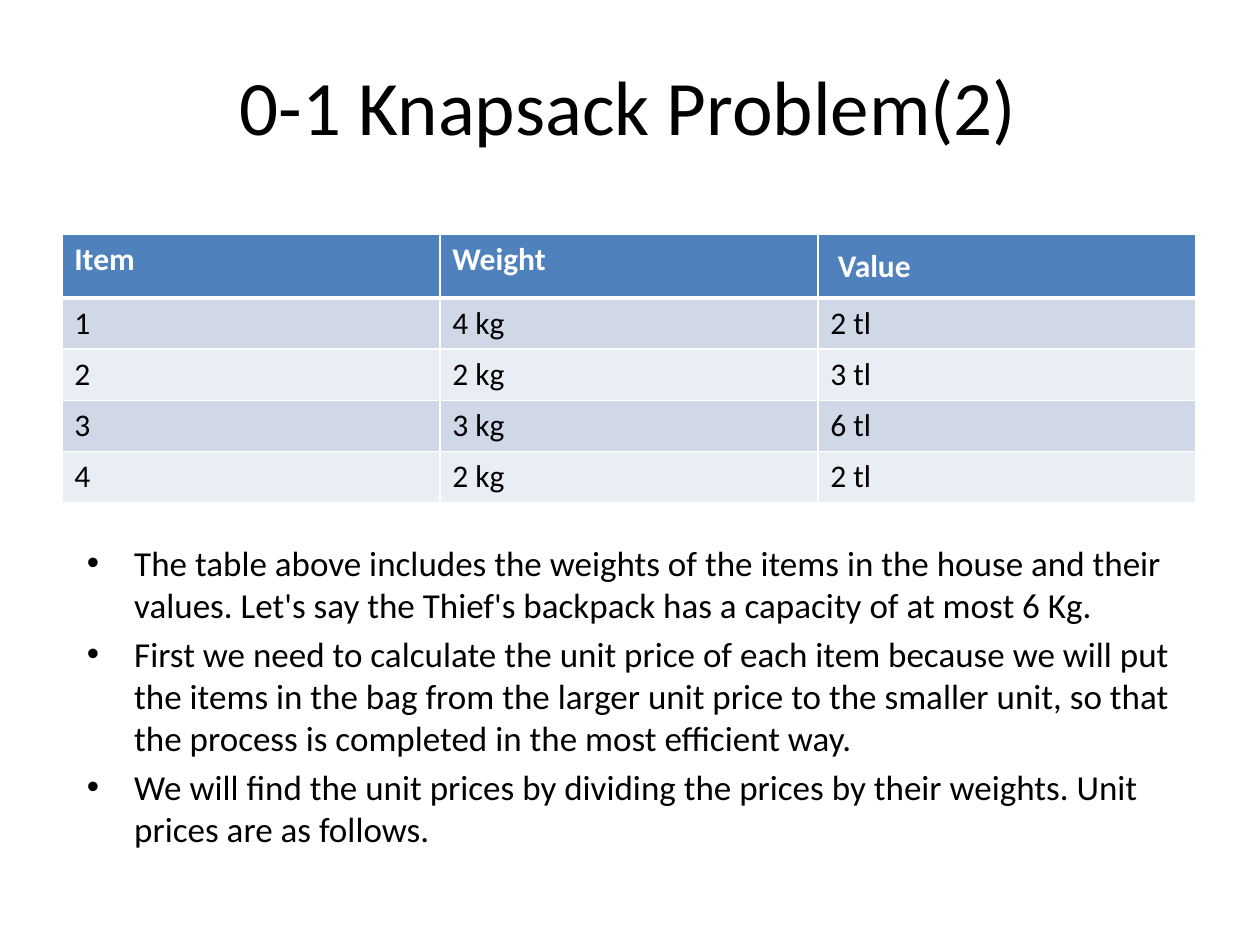
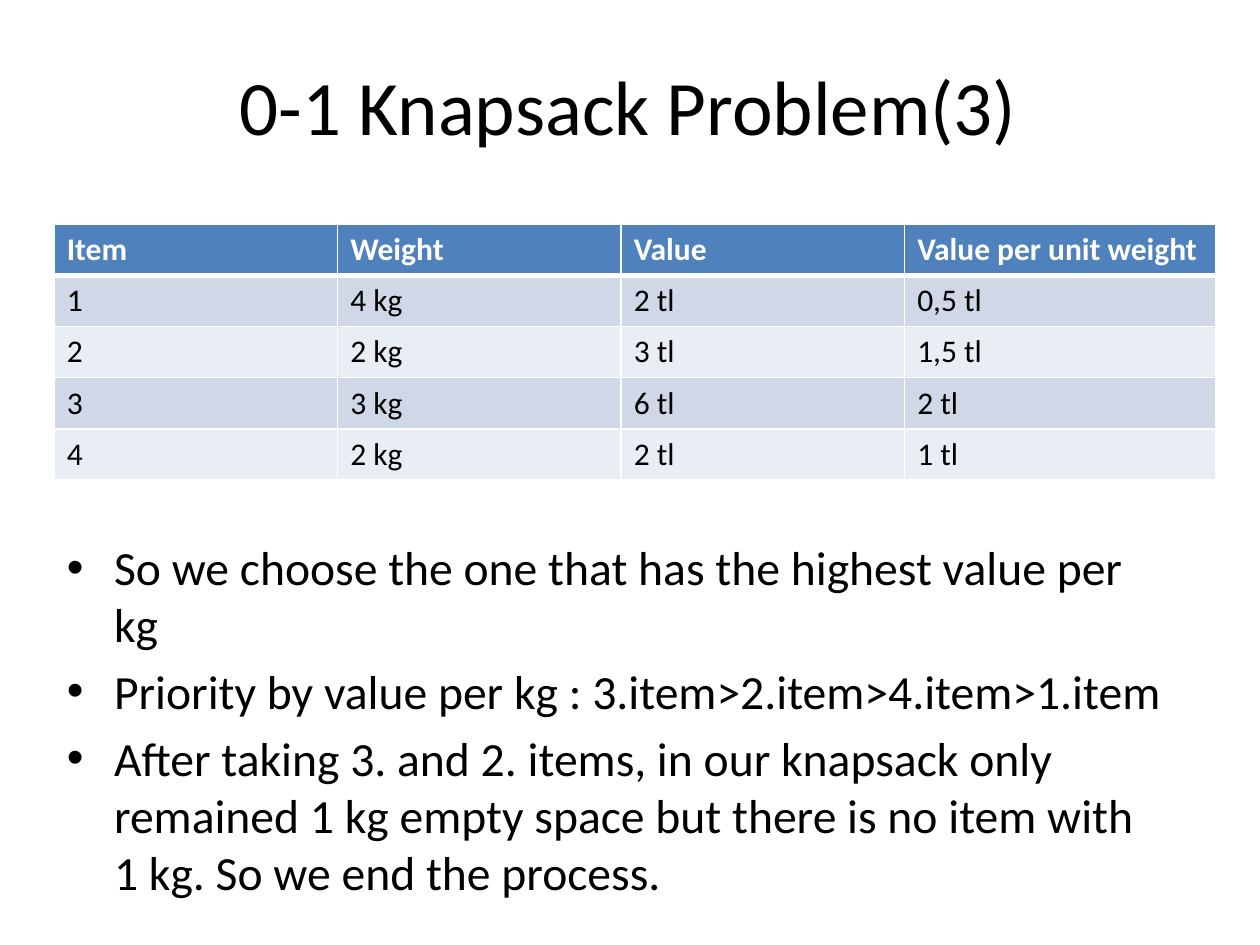
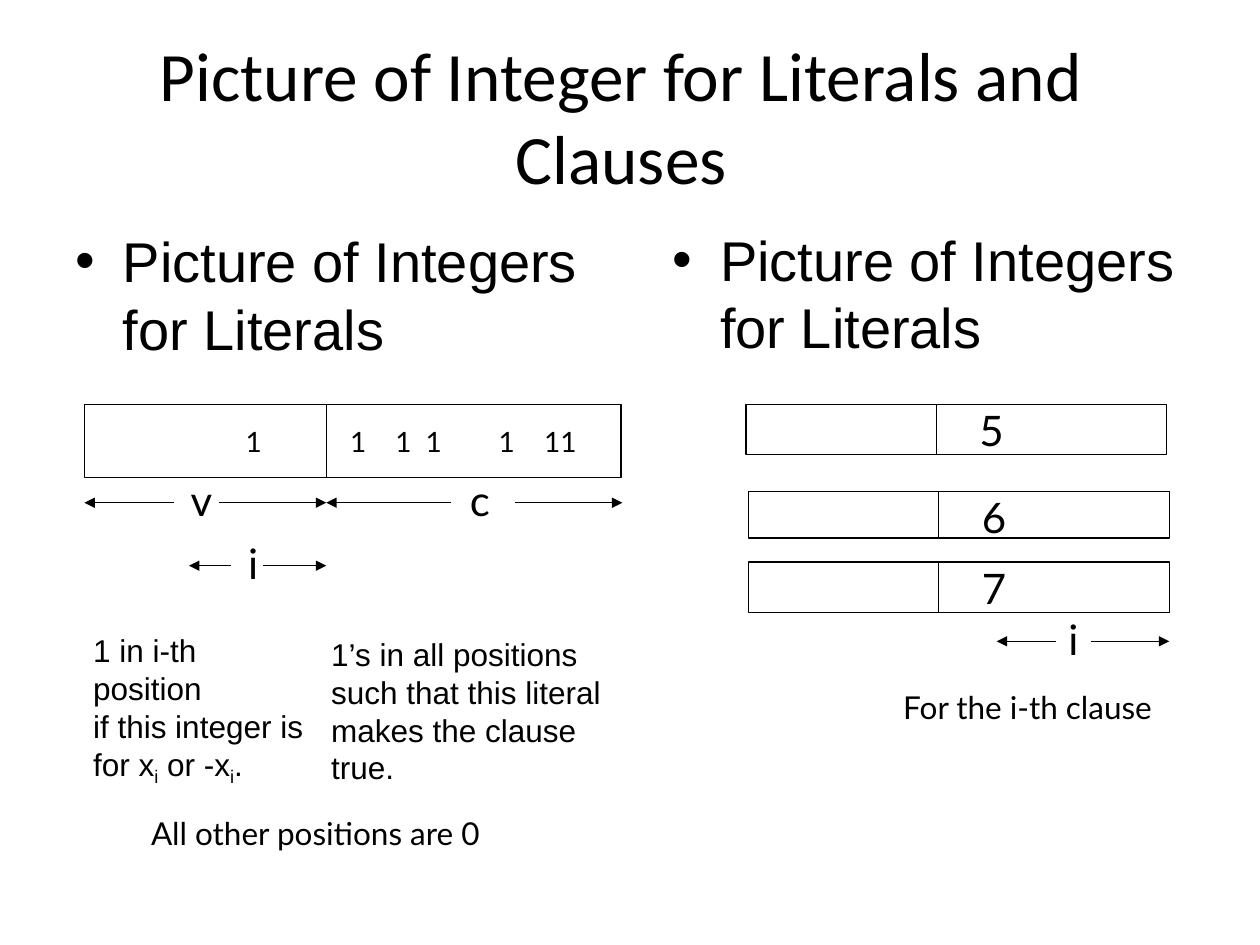
from lxml import etree
from pptx import Presentation
from pptx import util as u
from pptx.dml.color import RGBColor
from pptx.enum import shapes, text
from pptx.oxml.ns import qn

# The slide is a grid of 100 columns by 75 rows of square cells.
COLS, ROWS = 100, 75
CELL = u.Inches(0.1)

BLACK = RGBColor(0x00, 0x00, 0x00)
WHITE = RGBColor(0xFF, 0xFF, 0xFF)
HEADER = RGBColor(0x4F, 0x81, 0xBD)
BANDS = RGBColor(0xD0, 0xD8, 0xE8), RGBColor(0xE9, 0xED, 0xF4)

MAIN, PLAIN, LABEL = "Calibri", "Arial", "Lato"
LINE = u.Pt(0.75)
TITLE_BOX = (4.9, 2.1, 90, 12.5)
ROW = 4.06

ITEMS = [
    ("Item", "Weight", "Value", "Value per unit weight"),
    ("1", "4 kg", "2 tl", "0,5 tl"),
    ("2", "2 kg", "3 tl", "1,5 tl"),
    ("3", "3 kg", "6 tl", "2 tl"),
    ("4", "2 kg", "2 tl", "1 tl"),
]


def grid(*cells):
    """Turn grid cells into lengths."""
    return [u.Emu(round(c * CELL)) for c in cells]


def place(sp, box):
    sp.left, sp.top, sp.width, sp.height = grid(*box)


def add_run(p, words, size, font, color=BLACK, bold=False):
    r = p.add_run()
    r.text = words
    r.font.size, r.font.name, r.font.bold = u.Pt(size), font, bold
    r.font.color.rgb = color
    return r


def paragraphs(tf, count):
    return [tf.paragraphs[0]] + [tf.add_paragraph() for _ in range(count - 1)]


def set_title(slide, words, box=TITLE_BOX, size=44):
    sp = slide.shapes.title
    place(sp, box)
    tf = sp.text_frame
    tf.auto_size = text.MSO_AUTO_SIZE.NONE
    tf.vertical_anchor = text.MSO_ANCHOR.MIDDLE
    p = tf.paragraphs[0]
    p.alignment = text.PP_ALIGN.CENTER
    add_run(p, words, size, MAIN)


def set_bullets(sp, box, items, size, font=MAIN):
    """Fill a body placeholder, which brings its own bullets and indents."""
    place(sp, box)
    tf = sp.text_frame
    tf.auto_size = text.MSO_AUTO_SIZE.NONE
    for p, words in zip(paragraphs(tf, len(items)), items):
        add_run(p, words, size, font)
    tf.paragraphs[0].space_before = u.Pt(0)


def set_borders(cell, top, bottom):
    """Draw white cell borders, with the top and bottom widths in points."""
    tcPr = cell._tc.get_or_add_tcPr()
    for side, width in (("L", 1), ("R", 1), ("T", top), ("B", bottom)):
        ln = etree.SubElement(tcPr, qn(f"a:ln{side}"), w=str(u.Pt(width)))
        fill = etree.SubElement(ln, qn("a:solidFill"))
        etree.SubElement(fill, qn("a:srgbClr"), val=str(WHITE))


def add_item_table(slide, left, top, widths, header_height=ROW):
    heights = [header_height] + [ROW] * (len(ITEMS) - 1)
    frame = slide.shapes.add_table(
        len(heights), len(widths), *grid(left, top, sum(widths), sum(heights)))
    table = frame.table
    for column, width in zip(table.columns, grid(*widths)):
        column.width = width
    for i, (row, height) in enumerate(zip(table.rows, grid(*heights))):
        row.height = height
        for cell, words in zip(row.cells, ITEMS[i]):
            set_borders(cell, 3 if i == 1 else 1, 3 if i == 0 else 1)
            cell.fill.solid()
            cell.fill.fore_color.rgb = BANDS[(i - 1) % 2] if i else HEADER
            add_run(cell.text_frame.paragraphs[0], words, 18, MAIN,
                    BLACK if i else WHITE, bold=i == 0)
    return table


def add_text(slide, box, lines, size, font=LABEL, wrap=False, align=None):
    """Add a text box; each line is a list of (words, is_subscript) or a string."""
    tf = slide.shapes.add_textbox(*grid(*box)).text_frame
    tf.word_wrap = wrap
    for p, line in zip(paragraphs(tf, len(lines)), lines):
        p.alignment = align
        for words, sub in [(line, False)] if isinstance(line, str) else line:
            r = add_run(p, words, size, font)
            if sub:
                r.font._element.set("baseline", "-25000")
    return tf


def add_symbol(slide, center, top, symbol):
    add_text(slide, (center - 2, top, 4, 5), [symbol], 24,
             align=text.PP_ALIGN.CENTER)


def add_tabs(p, stops):
    tabs = etree.SubElement(p._p.get_or_add_pPr(), qn("a:tabLst"))
    for stop in grid(*stops):
        etree.SubElement(tabs, qn("a:tab"), pos=str(stop), algn="l")


def add_line(slide, x1, y1, x2, y2, arrow=False):
    line = slide.shapes.add_connector(
        shapes.MSO_CONNECTOR.STRAIGHT, *grid(x1, y1, x2, y2))
    line.line.color.rgb, line.line.width = BLACK, LINE
    if arrow:
        etree.SubElement(line.line._get_or_add_ln(), qn("a:tailEnd"),
                         type="triangle")
    etree.SubElement(line._element.spPr, qn("a:effectLst"))


def add_integer(slide, left, top, width, height, split):
    """Draw an integer as a bar cut in two parts."""
    sp = slide.shapes.add_shape(shapes.MSO_SHAPE.RECTANGLE,
                                *grid(left, top, width, height))
    sp.shadow.inherit = False
    sp.fill.background()
    sp.line.color.rgb, sp.line.width = BLACK, LINE
    add_line(slide, left + split, top, left + split, top + height)


def add_span(slide, y, start, gap, end, symbol, center):
    """Draw two arrows pointing out from a gap that holds a symbol."""
    add_line(slide, gap[0], y, start, y, arrow=True)
    add_line(slide, gap[1], y, end, y, arrow=True)
    add_symbol(slide, center, y - 2.7, symbol)


def weights_slide(prs):
    slide = prs.slides.add_slide(prs.slide_layouts[1])
    set_title(slide, "0-1 Knapsack Problem(2)")
    table = add_item_table(slide, 4.9, 18.6, [30] * 3, header_height=5)
    value = table.cell(0, 2)
    value.vertical_anchor = text.MSO_ANCHOR.MIDDLE
    value.margin_left, value.margin_right = grid(1.6, 1.6)
    value.margin_top, value.margin_bottom = grid(1, 1)
    set_bullets(slide.placeholders[1], (5.9, 42.5, 89, 28.1), [
        "The table above includes the weights of the items in the house and "
        "their values. Let's say the Thief's backpack has a capacity of at "
        "most 6 Kg.",
        "First we need to calculate the unit price of each item because we "
        "will put the items in the bag from the larger unit price to the "
        "smaller unit, so that the process is completed in the most "
        "efficient way.",
        "We will find the unit prices by dividing the prices by their "
        "weights. Unit prices are as follows.",
    ], 20)


def priority_slide(prs):
    slide = prs.slides.add_slide(prs.slide_layouts[1])
    set_title(slide, "0-1 Knapsack Problem(3)")
    add_item_table(slide, 4.3, 17.8, [22.5] * 3 + [24.7])
    set_bullets(slide.placeholders[1], (4.3, 42.2, 89, 28.1), [
        "So we choose the one that has the highest value per kg",
        "Priority by value per kg : 3.item>2.item>4.item>1.item",
        "After taking 3. and 2. items, in our knapsack only remained 1 kg "
        "empty space but there is no item with 1 kg. So we end the process.",
    ], 27.2)


def literals_slide(prs):
    slide = prs.slides.add_slide(prs.slide_layouts[3])
    set_title(slide, "Picture of Integer for Literals and Clauses",
              (2.8, 2.9, 93, 12.5), 39.6)
    for index, left, top in ((1, 5, 17.5), (2, 52.4, 17.4)):
        set_bullets(slide.placeholders[index], (left, top, 47.4, 49.5),
                    ["Picture of Integers for Literals"], 32, PLAIN)

    add_integer(slide, 6.7, 32.1, 42.6, 5.8, 19.2)
    add_text(slide, (18.5, 33.2, 3.2, 3.7), ["1"], 16)
    ones = add_text(slide, (26.8, 33.2, 22.5, 3.7), ["1\t1\t1\t1\t11"], 16,
                    wrap=True)
    add_tabs(ones.paragraphs[0], (3.6, 6, 11.8, 15.4))
    add_span(slide, 39.9, 6.7, (13.8, 17.4), 25.9, "v", 16)
    add_span(slide, 39.9, 25.9, (35.8, 40.9), 49.4, "c", 38.1)
    add_span(slide, 44.9, 15, (18.3, 20.9), 25.9, "i", 20.1)
    add_text(slide, (6.4, 49.6, 19.2, 13.1), [
        "1 in i-th position",
        "if this integer is",
        [("for x", False), ("i", True), (" or -x", False), ("i", True),
         (".", False)],
    ], 18, PLAIN, wrap=True)
    add_text(slide, (25.3, 49.9, 23.5, 13.1), [
        "1’s in all positions", "such that this literal",
        "makes the clause true.",
    ], 18, PLAIN, wrap=True)
    add_text(slide, (11, 64.1, 29.2, 4), ["All other positions are 0"], 18)

    for digit, left, top, height in (("5", 59.2, 32.1, 4),
                                     ("6", 59.4, 39, 3.7),
                                     ("7", 59.4, 44.6, 4)):
        add_integer(slide, left, top, 33.4, height, 15.1)
        add_symbol(slide, left + 19.5, top - 0.45, digit)
    add_span(slide, 50.9, 79.1, (83.8, 86.6), 92.8, "i", 85.2)
    add_text(slide, (70.7, 54.1, 22.2, 4), ["For the i-th clause"], 18)


def main():
    prs = Presentation()
    prs.slide_width, prs.slide_height = grid(COLS, ROWS)
    weights_slide(prs)
    priority_slide(prs)
    literals_slide(prs)
    prs.save("out.pptx")


if __name__ == "__main__":
    main()
